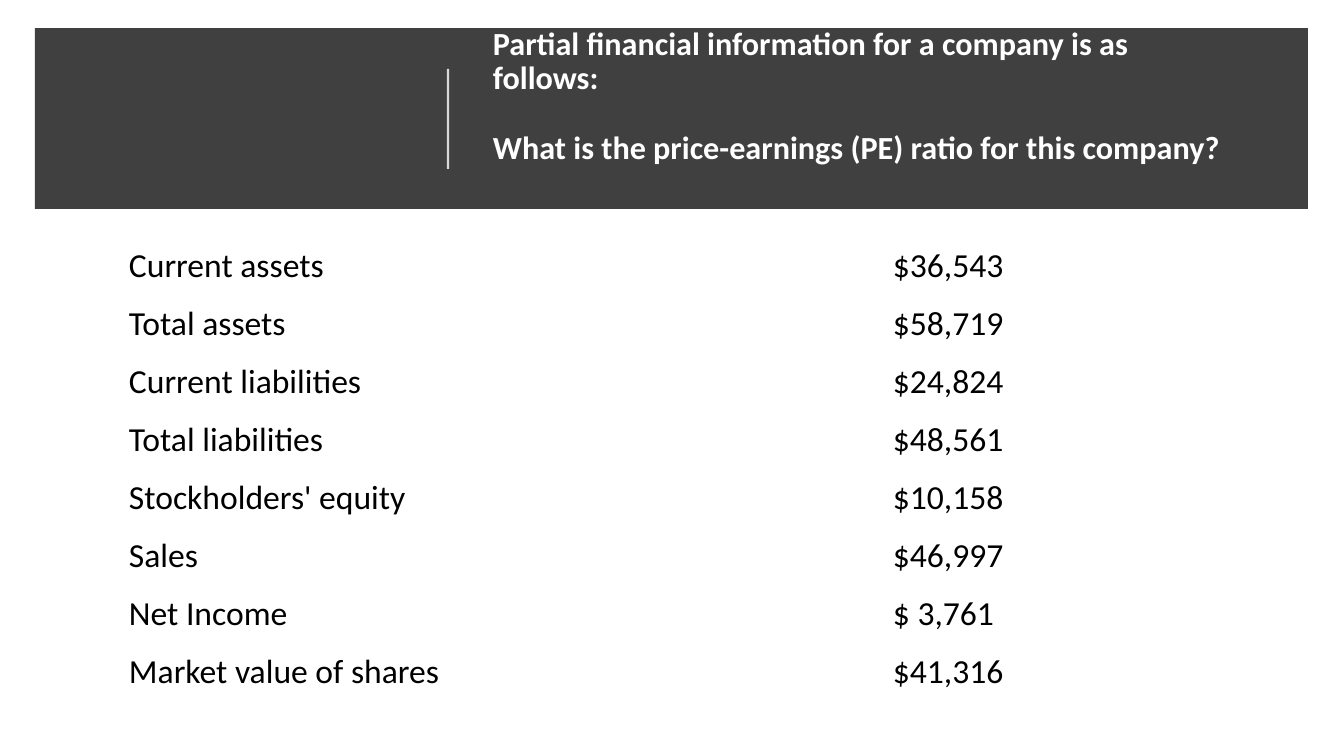
from lxml.etree import SubElement as Sub
from pptx import Presentation
from pptx.dml.color import RGBColor as Color
from pptx.enum.shapes import MSO_CONNECTOR as Link, MSO_SHAPE as Shape
from pptx.enum.text import MSO_ANCHOR as Anchor
from pptx.oxml.ns import qn
from pptx.util import Pt

ASKS = [
    "Partial financial information for a company is as follows:",
    "What is the price-earnings (PE) ratio for this company?",
]
ROWS = [
    ("Current assets", "$36,543"),
    ("Total assets", "$58,719"),
    ("Current liabilities", "$24,824"),
    ("Total liabilities", "$48,561"),
    ("Stockholders' equity", "$10,158"),
    ("Sales", "$46,997"),
    ("Net Income", "$ 3,761"),
    ("Market value of shares", "$41,316"),
]
THEME = {
    "band": Color.from_string("404040"),
    "white": Color.from_string("FFFFFF"),
    "black": Color.from_string("000000"),
    "face": "Calibri",
    "head": Pt(23),
    "body": Pt(24),
    "gap": Pt(25),
    "rule": Pt(1.5),
}
UNIT = 914400 / 100.8
SIZE = (1344, 756)
BAND = (35, 28, 1273, 181)
HEAD = (483, 50, 769, 139)
RULE = (448, 169, 448, 69)
GRID = (116, 237)
COLS = (764, 349)
STEP = 58


def px(*nums):
    return [round(num * UNIT) for num in nums]


def put(item, form):
    for name, value in form.items():
        setattr(item, name, value)


def write(para, text, size, tint, bold=False):
    run = para.add_run()
    run.text = text
    put(run.font, {"name": THEME["face"], "size": size, "bold": bold})
    run.font.color.rgb = tint


def paint(item, tint):
    item.fill.solid()
    item.fill.fore_color.rgb = tint


def add_band(slide):
    band = slide.shapes.add_shape(Shape.RECTANGLE, *px(*BAND))
    band.shadow.inherit = False
    paint(band, THEME["band"])
    band.line.fill.background()


def add_head(slide):
    frame = slide.shapes.add_textbox(*px(*HEAD)).text_frame
    low, = px(50)
    put(frame, {"word_wrap": True, "vertical_anchor": Anchor.MIDDLE,
                "margin_bottom": low})
    for num, text in enumerate(ASKS):
        para = frame.add_paragraph() if num else frame.paragraphs[0]
        put(para, {"line_spacing": 0.9,
                   "space_before": THEME["gap"] if num else Pt(0)})
        write(para, text, THEME["head"], THEME["white"], True)


def add_rule(slide):
    rule = slide.shapes.add_connector(Link.STRAIGHT, *px(*RULE))
    rule.line.width = THEME["rule"]
    rule.line.color.rgb = THEME["white"]
    props = rule._element.spPr
    tint = next(props.iter(qn("a:srgbClr")))
    Sub(tint, qn("a:alpha"), val="80000")
    Sub(props, qn("a:effectLst"))


def add_grid(slide):
    area = (*GRID, sum(COLS), STEP * len(ROWS))
    table = slide.shapes.add_table(len(ROWS), len(COLS), *px(*area)).table
    put(table, {"first_row": False, "horz_banding": False})
    for col, wide in zip(table.columns, px(*COLS)):
        col.width = wide
    side, edge = px(13, 7)
    form = {"vertical_anchor": Anchor.MIDDLE,
            "margin_left": side, "margin_right": side,
            "margin_top": edge, "margin_bottom": edge}
    for row, texts in zip(table.rows, ROWS):
        row.height, = px(STEP)
        for cell, text in zip(row.cells, texts):
            put(cell, form)
            paint(cell, THEME["white"])
            write(cell.text_frame.paragraphs[0], text,
                  THEME["body"], THEME["black"])


def main():
    deck = Presentation()
    deck.slide_width, deck.slide_height = px(*SIZE)
    slide = deck.slides.add_slide(deck.slide_layouts[6])
    for step in (add_band, add_head, add_rule, add_grid):
        step(slide)
    deck.save("out.pptx")


if __name__ == "__main__":
    main()
